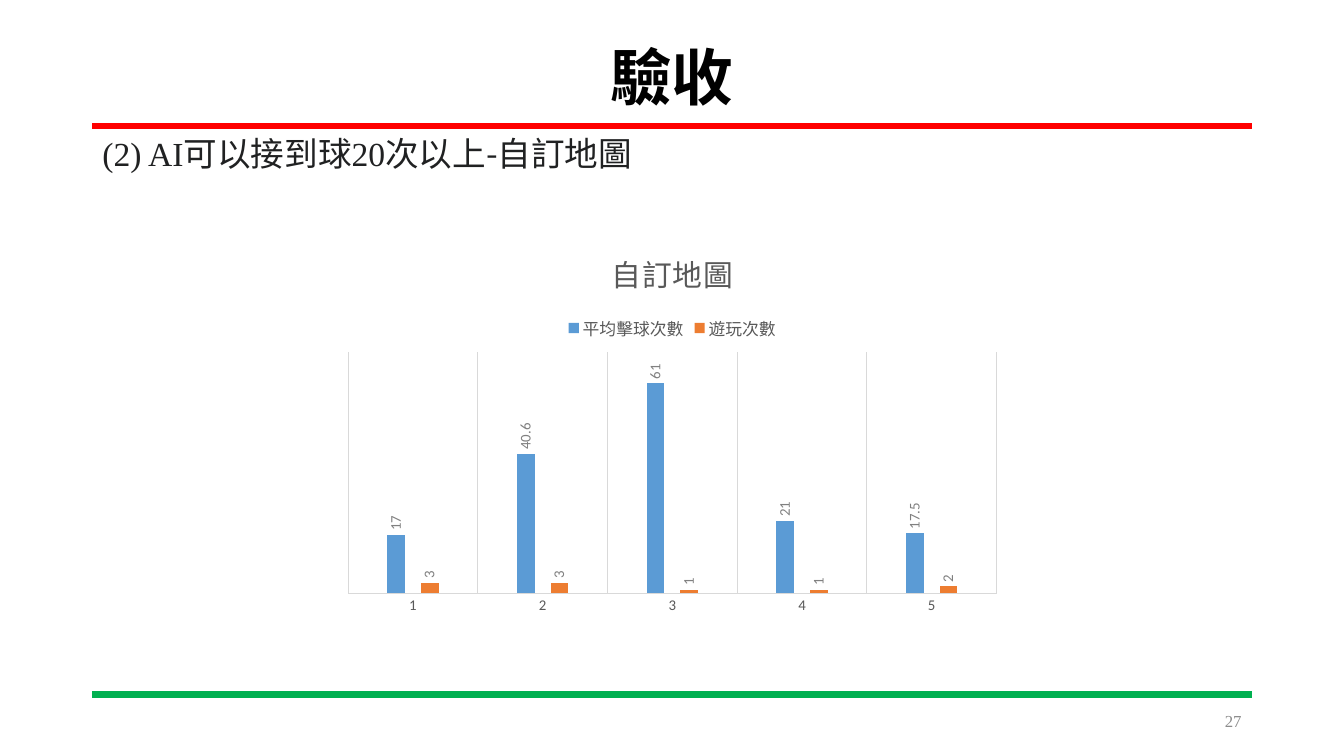
from lxml.etree import SubElement
from pptx import Presentation
from pptx.chart.data import CategoryChartData
from pptx.dml.color import RGBColor
from pptx.enum.chart import XL_CHART_TYPE as ChartType
from pptx.enum.chart import XL_LABEL_POSITION as LabelPosition
from pptx.enum.chart import XL_LEGEND_POSITION as LegendPosition
from pptx.enum.chart import XL_TICK_MARK as TickMark
from pptx.enum.shapes import MSO_CONNECTOR as Connector
from pptx.enum.text import MSO_ANCHOR as Anchor
from pptx.enum.text import MSO_AUTO_SIZE as AutoSize
from pptx.enum.text import PP_ALIGN as Align
from pptx.oxml.ns import qn
from pptx.util import Pt

BLACK = RGBColor(0x00, 0x00, 0x00)
INK = RGBColor(0x20, 0x21, 0x22)
RED = RGBColor(0xFF, 0x00, 0x00)
GREEN = RGBColor(0x00, 0xB0, 0x50)
PAGE_GRAY = RGBColor(0x8C, 0x8C, 0x8C)
TEXT_GRAY = RGBColor(0x59, 0x59, 0x59)
LABEL_GRAY = RGBColor(0x80, 0x80, 0x80)
GRID_GRAY = RGBColor(0xD9, 0xD9, 0xD9)
BLUE = RGBColor(0x5B, 0x9B, 0xD5)
ORANGE = RGBColor(0xED, 0x7D, 0x31)

SERIF = "Times New Roman"
SANS = "Calibri"
CJK = "Noto Sans CJK SC"
LEFT, WIDTH = 66, 828


def set_font(font, size, color, name=SANS, bold=False):
    font.size = Pt(size)
    font.name = name
    font.bold = bold
    font.color.rgb = color


def add_text(paragraph, text, size, color, name=SERIF, bold=False):
    run = paragraph.add_run()
    run.text = text
    set_font(run.font, size, color, name, bold)
    SubElement(run._r.get_or_add_rPr(), qn("a:ea"), typeface=CJK)
    return run


def place(shape, left, top, width, height, anchor=Anchor.TOP):
    shape.left, shape.top = Pt(left), Pt(top)
    shape.width, shape.height = Pt(width), Pt(height)
    frame = shape.text_frame
    frame.word_wrap = True
    frame.auto_size = AutoSize.NONE
    frame.vertical_anchor = anchor
    return frame.paragraphs[0]


def add_rule(slide, y, color):
    rule = slide.shapes.add_connector(
        Connector.STRAIGHT, Pt(LEFT), Pt(y), Pt(LEFT + WIDTH), Pt(y))
    rule.line.color.rgb = color
    rule.line.width = Pt(4.5)
    SubElement(rule._element.spPr, qn("a:effectLst"))


def add_title(slide):
    paragraph = place(slide.shapes.title, LEFT, 29, WIDTH, 57, Anchor.MIDDLE)
    paragraph.alignment = Align.CENTER
    paragraph.line_spacing = 0.9
    add_text(paragraph, "驗收", 44, BLACK, bold=True)


def add_body(slide):
    paragraph = place(slide.placeholders[1], LEFT, 94.5, WIDTH, 396.5)
    properties = paragraph._p.get_or_add_pPr()
    properties.set("marL", "0")
    properties.set("indent", "0")
    SubElement(properties, qn("a:buNone"))
    paragraph.alignment = Align.LEFT
    paragraph.line_spacing = 0.9
    paragraph.space_before = Pt(0)
    for text, name in (("(2) AI", SERIF), ("可以接到球", CJK),
                       ("20", SERIF), ("次以上-自訂地圖", CJK)):
        add_text(paragraph, text, 24, INK, name)


def add_page_number(slide):
    box = slide.shapes.add_textbox(Pt(678), Pt(500.5), Pt(216), Pt(28.75))
    paragraph = place(box, 678, 500.5, 216, 28.75, Anchor.MIDDLE)
    paragraph.alignment = Align.RIGHT
    add_text(paragraph, "27", 12, PAGE_GRAY)


def style_line(line):
    line.color.rgb = GRID_GRAY
    line.width = Pt(0.75)


def style_series(series, color):
    series.format.fill.solid()
    series.format.fill.fore_color.rgb = color
    series.invert_if_negative = False
    labels = series.data_labels
    labels.show_value = True
    labels.position = LabelPosition.OUTSIDE_END
    set_font(labels.font, 10.6, LABEL_GRAY)
    body = labels._element.find(qn("c:txPr")).find(qn("a:bodyPr"))
    body.set("rot", "-5400000")
    body.set("vert", "horz")


def add_hits_chart(slide):
    data = CategoryChartData()
    data.categories = ["1", "2", "3", "4", "5"]
    data.add_series("平均擊球次數", (17, 40.6, 61, 21, 17.5))
    data.add_series("遊玩次數", (3, 3, 1, 1, 2))
    chart = slide.shapes.add_chart(
        ChartType.COLUMN_CLUSTERED, Pt(239), Pt(165), Pt(482.5), Pt(280), data).chart
    set_font(chart.font, 10, BLACK)

    chart.has_title = True
    heading = chart.chart_title.text_frame.paragraphs[0]
    run = add_text(heading, "自訂地圖", 21.3, TEXT_GRAY, CJK)
    run._r.get_or_add_rPr().set("spc", "100")
    chart.chart_title.include_in_layout = False

    chart.has_legend = True
    chart.legend.position = LegendPosition.TOP
    chart.legend.include_in_layout = False
    set_font(chart.legend.font, 12, TEXT_GRAY)

    axis = chart.category_axis
    axis.major_tick_mark = axis.minor_tick_mark = TickMark.NONE
    axis.has_major_gridlines = True
    style_line(axis.major_gridlines.format.line)
    style_line(axis.format.line)
    set_font(axis.tick_labels.font, 10.6, TEXT_GRAY)
    chart.value_axis.has_major_gridlines = False
    chart.value_axis.minimum_scale = 0
    chart.value_axis.visible = False

    plot = chart.plots[0]
    plot.vary_by_categories = False
    plot.gap_width = 444
    plot.overlap = -90
    for series, color in zip(plot.series, (BLUE, ORANGE)):
        style_series(series, color)


def main():
    presentation = Presentation()
    presentation.slide_width, presentation.slide_height = Pt(960), Pt(540)
    slide = presentation.slides.add_slide(presentation.slide_layouts[1])
    add_rule(slide, 90, RED)
    add_rule(slide, 496, GREEN)
    add_body(slide)
    add_title(slide)
    add_page_number(slide)
    add_hits_chart(slide)
    presentation.save("out.pptx")


if __name__ == "__main__":
    main()
